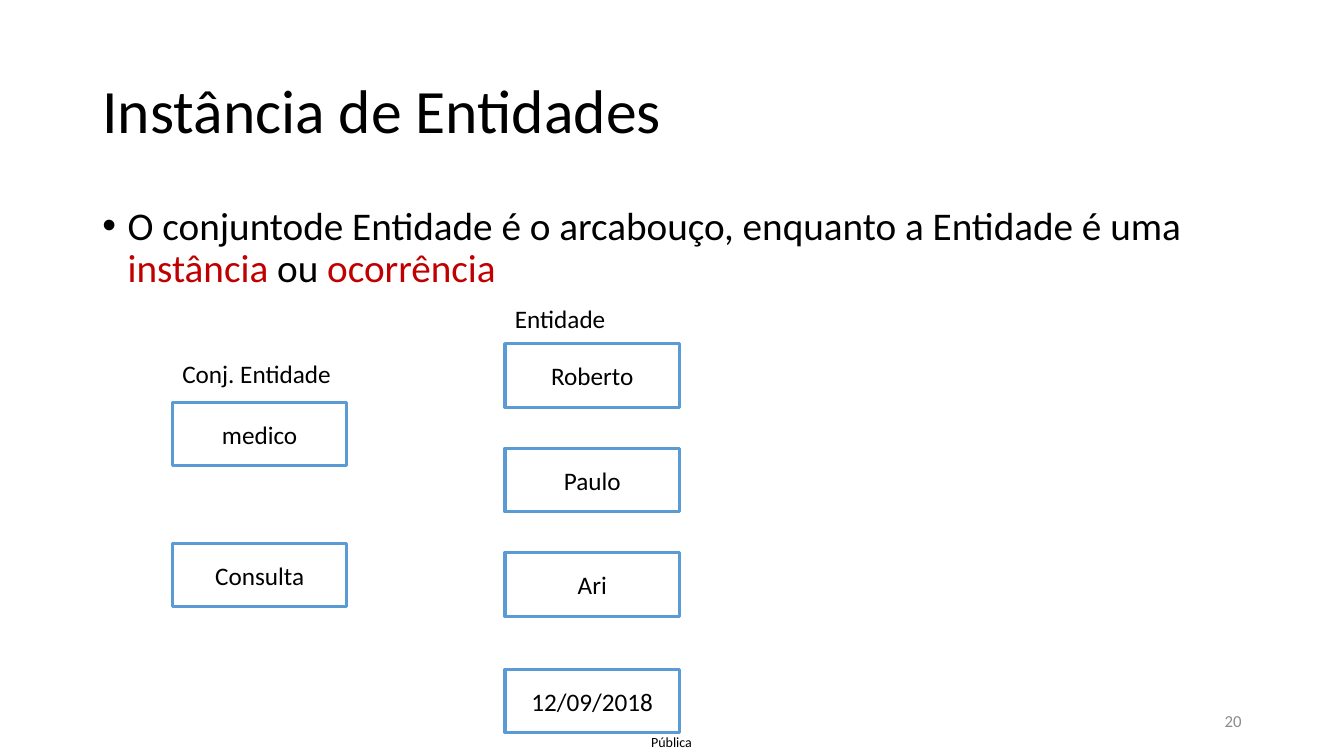
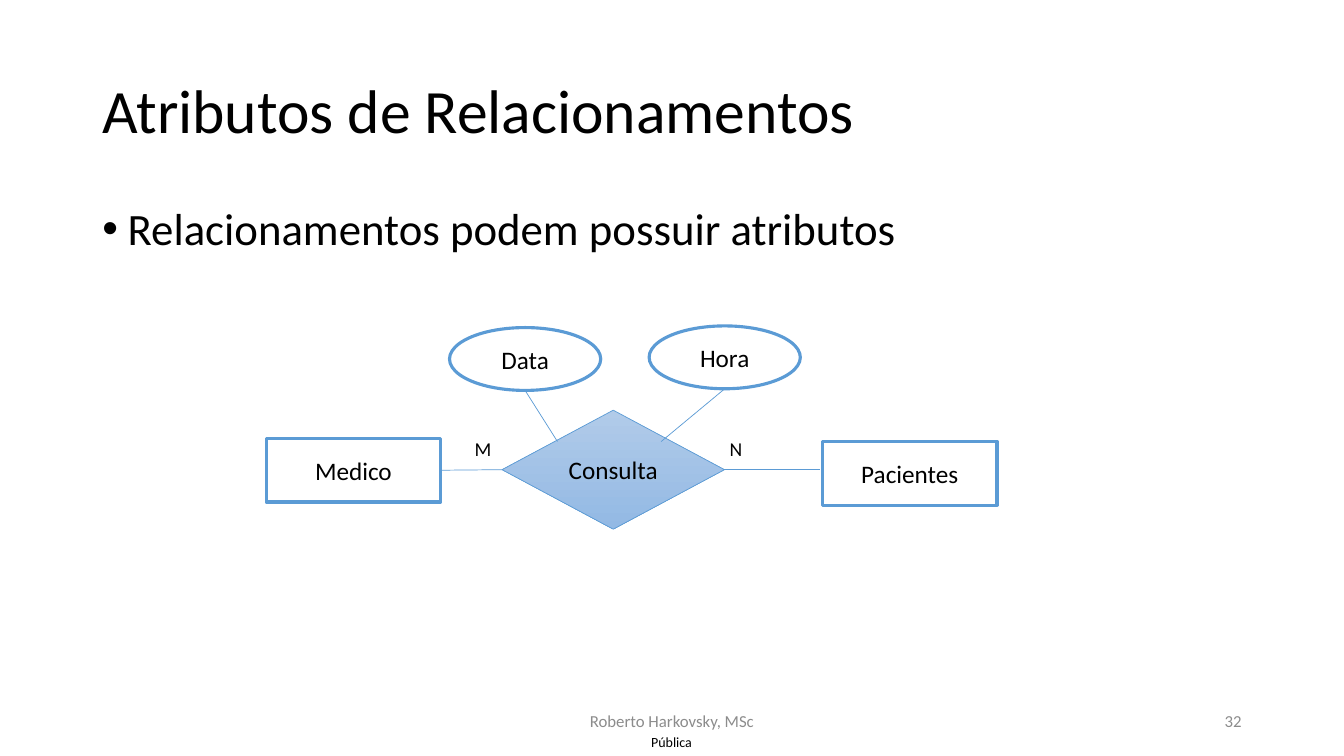
"""Build two slides on entity instances and relationship attributes."""
from lxml import etree
from pptx import Presentation
from pptx.dml import color
from pptx.enum import shapes, text
from pptx.oxml import ns
from pptx.util import Pt

BLACK, WHITE, BLUE, RED, GREY = "000000", "FFFFFF", "5B9BD5", "C00000", "8C8C8C"
LEFT, CENTER, RIGHT = text.PP_ALIGN.LEFT, text.PP_ALIGN.CENTER, text.PP_ALIGN.RIGHT
TOP, MIDDLE = text.MSO_ANCHOR.TOP, text.MSO_ANCHOR.MIDDLE
RECTANGLE = shapes.MSO_SHAPE.RECTANGLE
OVAL = shapes.MSO_SHAPE.OVAL
DECISION = shapes.MSO_SHAPE.FLOWCHART_DECISION
BOX_WIDTH, BOX_HEIGHT = 124.7, 45.4
OVAL_WIDTH, OVAL_HEIGHT = 108, 44.9


def rgb(value):
    return color.RGBColor.from_string(value)


def write(box, words, size=18, ink=BLACK, align=LEFT, anchor=TOP, wrap=True,
          margins=(7.2, 3.6), spacing=1.0, bullet=False):
    frame = box.text_frame
    frame.word_wrap = wrap
    frame.auto_size = text.MSO_AUTO_SIZE.NONE
    frame.vertical_anchor = anchor
    frame.margin_left = frame.margin_right = Pt(margins[0])
    frame.margin_top = frame.margin_bottom = Pt(margins[1])
    para = frame.paragraphs[0]
    if bullet:
        properties = para._p.get_or_add_pPr()
        properties.set("marL", str(Pt(18)))
        properties.set("indent", str(-Pt(18)))
        etree.SubElement(properties, ns.qn("a:buFont")).set("typeface", "Arial")
        etree.SubElement(properties, ns.qn("a:buChar")).set("char", "•")
    para.alignment = align
    para.line_spacing = spacing
    para.space_before = Pt(0)
    pieces = [(words, ink)] if isinstance(words, str) else words
    for piece, piece_ink in pieces:
        span = para.add_run()
        span.text = piece
        span.font.name = "Calibri"
        span.font.size = Pt(size)
        span.font.color.rgb = rgb(piece_ink)


pages = [
    {
        "title": "Instância de Entidades",
        "body": [("O conjuntode Entidade é o arcabouço, enquanto a Entidade é uma ", BLACK),
                 ("instância", RED), (" ou ", BLACK), ("ocorrência", RED)],
        "body_size": 28,
        "body_height": 86.4,
        "number": "20",
        "footer": None,
        "nodes": [(RECTANGLE, name, left, top, BOX_WIDTH, BOX_HEIGHT)
                  for name, left, top in [
                      ("medico", 123.1, 287.3), ("Consulta", 123.1, 388.1),
                      ("Roberto", 360.7, 245.5), ("Paulo", 360.7, 320.2),
                      ("Ari", 360.7, 394.7), ("12/09/2018", 360.7, 478)]],
        "lines": [],
        "labels": [("Conj. Entidade", 123.1, 252.7, 121.7, 29, 18),
                   ("Entidade", 360.7, 213.1, 79.9, 29, 18)],
    },
    {
        "title": "Atributos de Relacionamentos",
        "body": "Relacionamentos podem possuir atributos",
        "body_size": 32,
        "body_height": 64.1,
        "number": "32",
        "footer": "Roberto Harkovsky, MSc",
        "nodes": [(RECTANGLE, "Medico", 190.1, 313.2, BOX_WIDTH, BOX_HEIGHT),
                  (DECISION, "Consulta", 358.6, 293, 158.9, 85),
                  (RECTANGLE, "Pacientes", 587.5, 315.4, BOX_WIDTH, BOX_HEIGHT),
                  (OVAL, "Data", 321.1, 234, OVAL_WIDTH, OVAL_HEIGHT),
                  (OVAL, "Hora", 463.7, 232.8, OVAL_WIDTH, OVAL_HEIGHT)],
        "lines": [(314.8, 335.9, 358.6, 335.5), (517.5, 335.5, 585.7, 335.5),
                  (517.7, 277.7, 472.3, 315.4), (375.1, 278.9, 398.2, 315.4)],
        "labels": [("M", 331.9, 308.2, 26.6, 24.2, 14),
                   ("N", 514.1, 308.2, 23.8, 24.2, 14)],
    },
]

deck = Presentation()
deck.slide_width, deck.slide_height = Pt(960), Pt(540)

for content in pages:
    page = deck.slides.add_slide(deck.slide_layouts[1])
    title, body = page.placeholders
    title.left, title.top, title.width, title.height = Pt(66), Pt(28.8), Pt(828), Pt(104.4)
    write(title, content["title"], size=44, anchor=MIDDLE, spacing=0.9)
    body.left, body.top, body.width = Pt(66), Pt(143.75), Pt(828)
    body.height = Pt(content["body_height"])
    write(body, content["body"], size=content["body_size"], spacing=0.9, bullet=True)

    mark = page.shapes.add_textbox(Pt(454.5), Pt(519.3), Pt(50.4), Pt(20.7))
    write(mark, "Pública", size=10, align=CENTER, anchor=MIDDLE, margins=(0, 0))
    number = page.shapes.add_textbox(Pt(678), Pt(500.5), Pt(216), Pt(28.75))
    write(number, content["number"], size=12, ink=GREY, align=RIGHT, anchor=MIDDLE)
    if content["footer"]:
        footer = page.shapes.add_textbox(Pt(318), Pt(500.5), Pt(324), Pt(28.75))
        write(footer, content["footer"], size=12, ink=GREY, align=CENTER, anchor=MIDDLE)

    for kind, name, *place in content["nodes"]:
        node = page.shapes.add_shape(kind, *map(Pt, place))
        node.shadow.inherit = False
        node.line.color.rgb = rgb(BLUE)
        if kind == DECISION:
            node.fill.gradient()
            node.fill.gradient_angle = 270
            for stop, shade in zip(node.fill.gradient_stops, ("B1CBE9", "93B9E4")):
                stop.color.rgb = rgb(shade)
            node.fill.gradient_stops[0].position = 0
            node.fill.gradient_stops[1].position = 1
            node.line.width = Pt(0.5)
        else:
            node.fill.solid()
            node.fill.fore_color.rgb = rgb(WHITE)
            node.line.width = Pt(2.25)
        write(node, name, align=CENTER, anchor=MIDDLE)

    for ends in content["lines"]:
        line = page.shapes.add_connector(shapes.MSO_CONNECTOR.STRAIGHT, *map(Pt, ends))
        line.line.color.rgb = rgb(BLUE)
        line.line.width = Pt(0.5)
        etree.SubElement(line._element.spPr, ns.qn("a:effectLst"))

    for words, left, top, width, height, size in content["labels"]:
        label = page.shapes.add_textbox(Pt(left), Pt(top), Pt(width), Pt(height))
        write(label, words, size=size, wrap=False)

deck.save("out.pptx")
